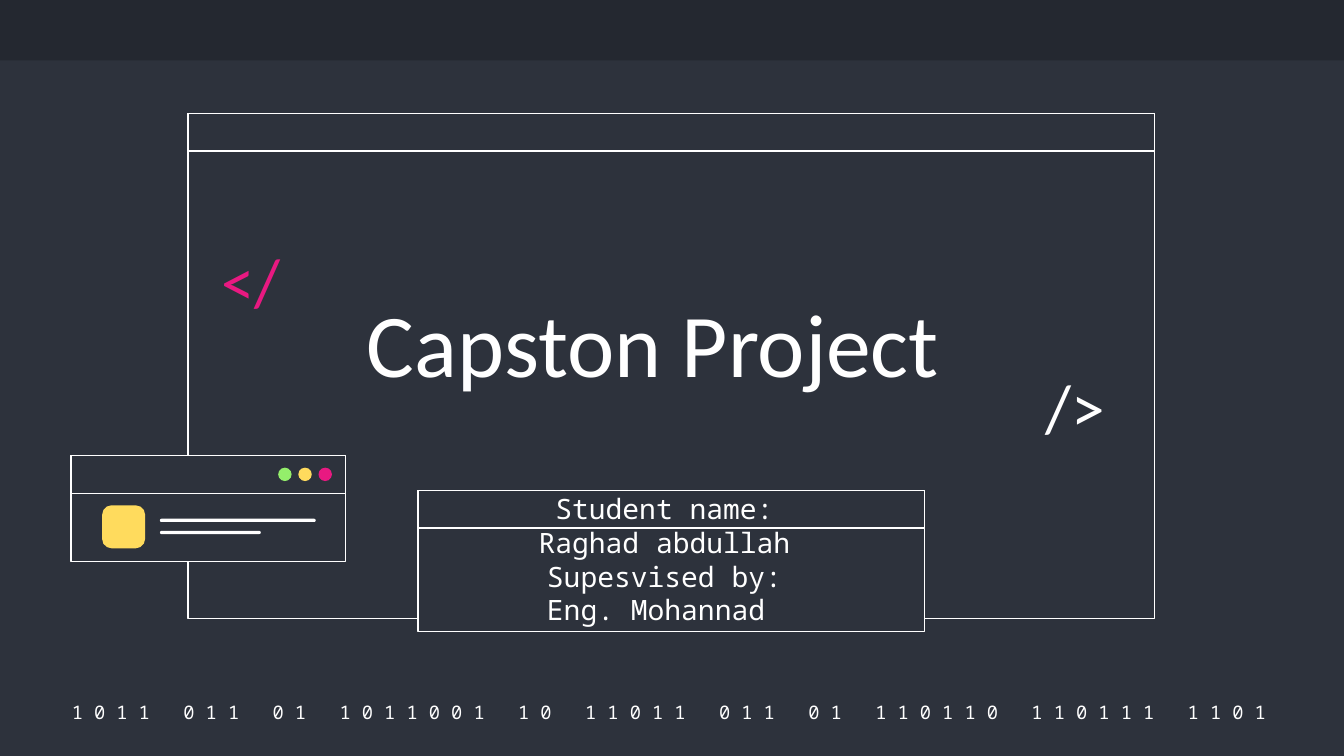
from dataclasses import dataclass
from typing import Optional

from pptx import Presentation
from pptx.dml.color import RGBColor
from pptx.enum.shapes import MSO_SHAPE
from pptx.enum.text import MSO_ANCHOR, PP_ALIGN
from pptx.util import Inches, Length, Pt

# The slide is a grid of 100 columns by 56.25 rows of square cells.
COLUMNS, ROWS = 100, 56.25
CELL = Inches(0.1)
HEADER_ROWS = 2.8
COLORS = {
    "background": "2D323C",
    "band": "242830",
    "white": "FFFFFF",
    "pink": "E81981",
    "yellow": "FFDB5D",
    "green": "94EE6B",
}
MONO, SANS = "Noto Sans Mono", "Calibri"
BINARY_WORDS = "1011 011 01 1011001 10 11011 011 01 110110 110111 1101".split()


@dataclass(frozen=True)
class Area:
    column: float
    row: float
    columns: float
    rows: float


@dataclass(frozen=True)
class Label:
    area: Area
    lines: list[str]
    size: int
    font: str
    color: str = "white"
    align: PP_ALIGN = PP_ALIGN.CENTER
    anchor: MSO_ANCHOR = MSO_ANCHOR.MIDDLE
    spacing: Optional[float | Length] = None
    right_inset: float = 1
    bottom_inset: float = 1


def cells(count: float) -> Length:
    return Length(round(count * CELL))


def place(area: Area) -> list[Length]:
    return [cells(n) for n in (area.column, area.row, area.columns, area.rows)]


def rgb(color: str) -> RGBColor:
    return RGBColor.from_string(COLORS[color])


def draw_shape(slide, kind: MSO_SHAPE, area: Area, fill: str, outlined: bool = False):
    shape = slide.shapes.add_shape(kind, *place(area))
    shape.shadow.inherit = False
    shape.fill.solid()
    shape.fill.fore_color.rgb = rgb(fill)
    if outlined:
        shape.line.color.rgb = rgb("white")
        shape.line.width = Pt(0.75)
    else:
        shape.line.fill.background()
    return shape


def draw_window(slide, frame: Area) -> None:
    """Draw an outlined frame with a header bar along its top."""
    header = Area(frame.column, frame.row, frame.columns, HEADER_ROWS)
    for area in (frame, header):
        draw_shape(slide, MSO_SHAPE.RECTANGLE, area, "background", outlined=True)


def draw_label(slide, label: Label) -> None:
    frame = slide.shapes.add_textbox(*place(label.area)).text_frame
    frame.word_wrap = True
    frame.vertical_anchor = label.anchor
    frame.margin_left = frame.margin_top = cells(1)
    frame.margin_right = cells(label.right_inset)
    frame.margin_bottom = cells(label.bottom_inset)
    for index, line in enumerate(label.lines):
        paragraph = frame.add_paragraph() if index else frame.paragraphs[0]
        paragraph.text = line
        paragraph.alignment = label.align
        paragraph.line_spacing = label.spacing
        paragraph.font.size = Pt(label.size)
        paragraph.font.name = label.font
        paragraph.font.color.rgb = rgb(label.color)


def draw_card(slide, frame: Area) -> None:
    """Draw the small window with its buttons, icon and two text bars."""
    draw_window(slide, frame)
    for index, color in enumerate(("green", "yellow", "pink")):
        button = Area(frame.column + 15.4 + 1.5 * index, frame.row + 0.9, 1, 1)
        draw_shape(slide, MSO_SHAPE.OVAL, button, color)

    icon = Area(frame.column + 2.3, frame.row + 3.7, 3.2, 3.2)
    draw_shape(slide, MSO_SHAPE.ROUNDED_RECTANGLE, icon, "yellow").adjustments[0] = 0.22

    for index, columns in enumerate((11.6, 7.5)):
        text_bar = Area(frame.column + 6.6, frame.row + 4.7 + 0.9 * index, columns, 0.24)
        bar = draw_shape(slide, MSO_SHAPE.ROUNDED_RECTANGLE, text_bar, "white")
        bar.adjustments[0] = 0.5


LABELS = [
    Label(Area(3.4, 52, 92.7, 2), ["   ".join(" ".join(word) for word in BINARY_WORDS)],
          10, MONO),
    Label(Area(15.5, 17.9, 7.7, 6.6), ["</"], 36, SANS, "pink", PP_ALIGN.LEFT, spacing=0.9),
    Label(Area(76.8, 27.3, 7.7, 6.6), ["/>"], 36, SANS, align=PP_ALIGN.LEFT, spacing=0.9),
    Label(Area(18, 16.2, 62.9, 19.8), ["Capston Project"], 48, SANS,
          anchor=MSO_ANCHOR.BOTTOM, spacing=0.9, right_inset=2.7, bottom_inset=6.7),
    Label(Area(30.1, 35.6, 38.7, 7.8),
          ["Student name:", "Raghad abdullah", "Supesvised by:", "Eng. Mohannad "],
          15, MONO, anchor=MSO_ANCHOR.TOP, spacing=Pt(18)),
]


def main() -> None:
    presentation = Presentation()
    presentation.slide_width = cells(COLUMNS)
    presentation.slide_height = cells(ROWS)
    slide = presentation.slides.add_slide(presentation.slide_layouts[6])
    slide.background.fill.solid()
    slide.background.fill.fore_color.rgb = rgb("background")

    draw_shape(slide, MSO_SHAPE.RECTANGLE, Area(0, 0, COLUMNS, 4.5), "band")
    draw_window(slide, Area(14, 8.45, 71.9, 37.6))
    draw_window(slide, Area(31.1, 36.5, 37.7, 10.5))
    for label in LABELS:
        draw_label(slide, label)
    draw_card(slide, Area(5.3, 33.9, 20.4, 7.9))

    presentation.save("out.pptx")


if __name__ == "__main__":
    main()
